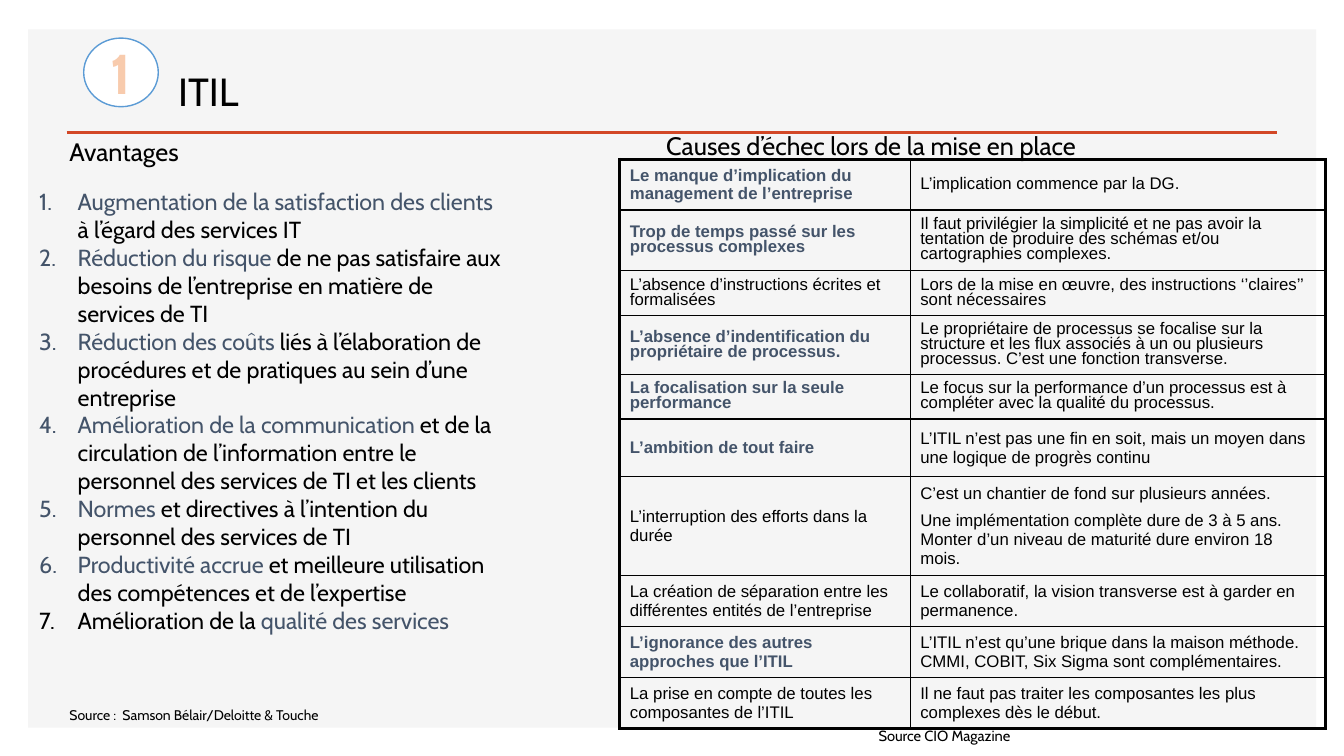
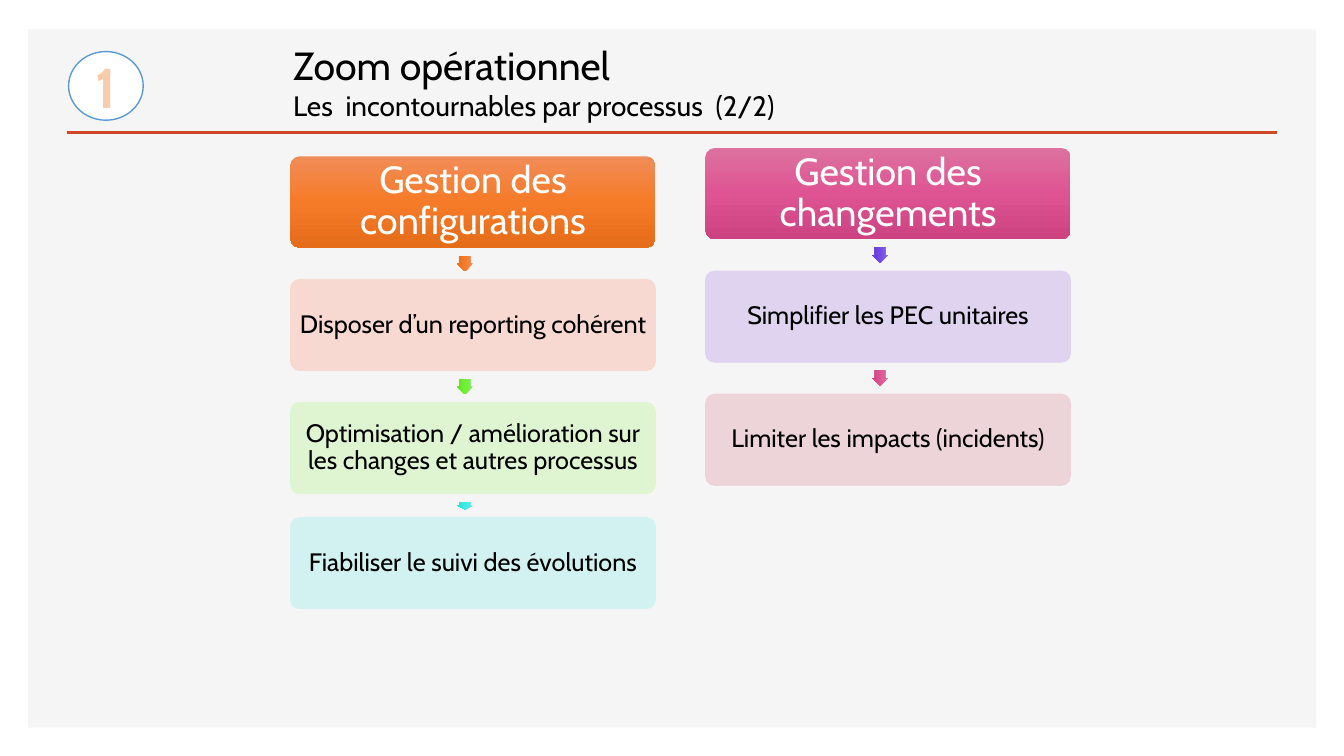
import copy
from dataclasses import dataclass

import pptx
import pptx.dml.color
import pptx.enum.shapes
import pptx.enum.text
import pptx.oxml
import pptx.oxml.ns
import pptx.util
from lxml import etree

Cm = pptx.util.Cm
Pt = pptx.util.Pt
ANCHOR = pptx.enum.text.MSO_ANCHOR
ALIGN = pptx.enum.text.PP_ALIGN
SHAPE = pptx.enum.shapes.MSO_SHAPE
qn = pptx.oxml.ns.qn


@dataclass(frozen=True)
class Theme:
    font: str = "Cabin"
    table_font: str = "Arial"
    black: str = "000000"
    white: str = "FFFFFF"
    band: str = "F5F5F5"
    rule: str = "D24726"
    slate: str = "44546A"
    badge_line: str = "5B9BD5"
    badge_text: str = "F8CBAD"
    badge_outline: str = "ED7D31"
    orange: tuple = ("F18C57", "F67B28", "E56C19")
    green: tuple = ("82EB5D", "6EF033", "5EDF24")
    cyan: tuple = ("63E7E3", "3EEAE5", "2ED9D4")
    violet: tuple = ("8669E2", "7249E4", "6139D3")
    pink: tuple = ("DD719F", "DE5492", "CD4381")
    pale_orange: str = "F8D7CE"
    pale_green: str = "DDF5CE"
    pale_cyan: str = "CFF2F2"
    pale_violet: str = "DDD0EF"
    pale_pink: str = "ECD1D6"
    badge_size: float = 40
    title_size: float = 28
    subtitle_size: float = 20
    header_size: float = 27
    text_size: float = 18
    list_size: float = 16.6
    table_size: float = 12
    source_size: float = 10


THEME = Theme()
KEY = {"color": THEME.slate}

ADVANTAGES = [
    [("Augmentation de la satisfaction des clients", KEY), (" à l’égard des services IT", {})],
    [("Réduction du risque", KEY),
     (" de ne pas satisfaire aux besoins de l’entreprise en matière de services de TI", {})],
    [("Réduction des coûts", KEY),
     (" liés à l’élaboration de procédures et de pratiques au sein d’une entreprise", {})],
    [("Amélioration de la communication", KEY),
     (" et de la circulation de l’information entre le personnel des services de TI et les clients", {})],
    [("Normes", KEY), (" et directives à l’intention du personnel des services de TI", {})],
    [("Productivité accrue", KEY), (" et meilleure utilisation des compétences et de l’expertise", {})],
    [("Amélioration de la ", {}), ("qualité des services", KEY)],
]

# Row height in cm, emphasised cause, cause, explanation paragraphs
FAILURE_CAUSES = [
    (1.28, True, "Le manque d’implication du management de l’entreprise",
     ["L’implication commence par la DG."]),
    (1.52, True, "Trop de temps passé sur les processus complexes",
     ["Il faut privilégier la simplicité et ne pas avoir la tentation de produire des schémas "
      "et/ou cartographies complexes."]),
    (1.15, False, "L’absence d’instructions écrites et formalisées",
     ["Lors de la mise en œuvre, des instructions ‘’claires’’ sont nécessaires"]),
    (1.48, True, "L’absence d’indentification du propriétaire de processus.",
     ["Le propriétaire de processus se focalise sur la structure et les flux associés à un ou "
      "plusieurs processus. C’est une fonction transverse."]),
    (1.12, True, "La focalisation sur la seule performance",
     ["Le focus sur la performance d’un processus est à compléter avec la qualité du processus."]),
    (1.45, True, "L’ambition de tout faire",
     ["L’ITIL n’est pas une fin en soit, mais un moyen dans une logique de progrès continu"]),
    (2.5, False, "L’interruption des efforts dans la durée",
     ["C’est un chantier de fond sur plusieurs années.",
      "Une implémentation complète dure de 3 à 5 ans. Monter d’un niveau de maturité dure "
      "environ 18 mois."]),
    (1.28, False, "La création de séparation entre les différentes entités de l’entreprise",
     ["Le collaboratif, la vision transverse est à garder en permanence."]),
    (1.28, True, "L’ignorance des autres approches que l’ITIL",
     ["L’ITIL n’est qu’une brique dans la maison méthode. CMMI, COBIT, Six Sigma sont "
      "complémentaires."]),
    (1.28, False, "La prise en compte de toutes les composantes de l’ITIL",
     ["Il ne faut pas traiter les composantes les plus complexes dès le début."]),
]


def rgb(value):
    return pptx.dml.color.RGBColor.from_string(value)


def write(frame, paragraphs, *, size=THEME.text_size, font=THEME.font, color=THEME.black,
          bold=False, align=ALIGN.LEFT, anchor=ANCHOR.TOP, spacing=1.0, gap=0,
          inset=None, numbered=False):
    """Fill a text frame; a paragraph is a string or a list of (text, format) runs."""
    frame.word_wrap = True
    frame.vertical_anchor = anchor
    if inset is not None:
        frame.margin_left = frame.margin_right = Cm(inset)
        frame.margin_top = frame.margin_bottom = Cm(inset)
    if isinstance(paragraphs, str):
        paragraphs = [paragraphs]
    for index, content in enumerate(paragraphs):
        paragraph = frame.add_paragraph() if index else frame.paragraphs[0]
        paragraph.alignment = align
        paragraph.line_spacing = spacing
        if index and gap:
            paragraph.space_before = Pt(gap)
        if numbered:
            properties = paragraph._p.get_or_add_pPr()
            properties.set("marL", str(Cm(0.97)))
            properties.set("indent", str(-Cm(0.97)))
            etree.SubElement(properties, qn("a:buAutoNum"), type="arabicPeriod")
        for text, style in [(content, {})] if isinstance(content, str) else content:
            if text == "\n":
                paragraph.add_line_break()
                continue
            run = paragraph.add_run()
            run.text = text
            run.font.name = font
            run.font.bold = bold
            run.font.size = Pt(style.get("size", size))
            run.font.color.rgb = rgb(style.get("color", color))


def add_text(slide, left, top, width, height, paragraphs, **text_format):
    box = slide.shapes.add_textbox(Cm(left), Cm(top), Cm(width), Cm(height))
    write(box.text_frame, paragraphs, **text_format)


def add_shape(slide, kind, left, top, width, height, fill, line=None, weight=1):
    """Add a preset shape; a tuple of colours makes a vertical gradient."""
    shape = slide.shapes.add_shape(kind, Cm(left), Cm(top), Cm(width), Cm(height))
    shape.shadow.inherit = False
    if isinstance(fill, tuple):
        shape.fill.gradient()
        shape.fill.gradient_angle = 270
        stops = shape.element.spPr.find(".//" + qn("a:gsLst"))
        stops.append(copy.deepcopy(stops[-1]))
        for index, stop in enumerate(shape.fill.gradient_stops):
            stop.position = index / 2
            stop.color.rgb = rgb(fill[index])
    else:
        shape.fill.solid()
        shape.fill.fore_color.rgb = rgb(fill)
    if line:
        shape.line.color.rgb = rgb(line)
        shape.line.width = Pt(weight)
    else:
        shape.line.fill.background()
    return shape


def line_xml(tag, color, weight):
    return pptx.oxml.parse_xml(
        f'<a:{tag} {pptx.oxml.ns.nsdecls("a")} w="{Pt(weight)}">'
        f'<a:solidFill><a:srgbClr val="{color}"/></a:solidFill></a:{tag}>')


def add_frame(presentation):
    """Add a slide with the shared grey band and title rule."""
    slide = presentation.slides.add_slide(presentation.slide_layouts[6])
    add_shape(slide, SHAPE.RECTANGLE, 0.71, 0.74, 32.46, 17.6, THEME.band)
    rule = slide.shapes.add_connector(
        pptx.enum.shapes.MSO_CONNECTOR.STRAIGHT, Cm(1.68), Cm(3.33), Cm(32.18), Cm(3.33))
    rule.line.color.rgb = rgb(THEME.rule)
    rule.line.width = Pt(2)
    etree.SubElement(rule.element.spPr, qn("a:effectLst"))
    return slide


def add_title(slide, left, top, width, height, runs):
    add_text(slide, left, top, width, height, [runs], size=THEME.title_size, anchor=ANCHOR.BOTTOM)


def add_badge(slide, left, top, number):
    badge = add_shape(slide, SHAPE.OVAL, left, top, 1.88, 1.73, THEME.white, THEME.badge_line)
    write(badge.text_frame, number, size=THEME.badge_size, color=THEME.badge_text, bold=True,
          align=ALIGN.CENTER, anchor=ANCHOR.MIDDLE, inset=0)
    run = badge.text_frame.paragraphs[0].runs[0]
    run.font._element.insert(0, line_xml("ln", THEME.badge_outline, 1.75))


def add_causes_table(slide, left, top, column_widths):
    heights = [row[0] for row in FAILURE_CAUSES]
    table = slide.shapes.add_table(
        len(heights), 2, Cm(left), Cm(top), Cm(sum(column_widths)), Cm(sum(heights))).table
    table.first_row = table.horz_banding = False
    for column, width in zip(table.columns, column_widths):
        column.width = Cm(width)
    last = len(heights) - 1
    for row, (height, emphasised, cause, explanation) in enumerate(FAILURE_CAUSES):
        table.rows[row].height = Cm(height)
        for column, paragraphs in enumerate((cause, explanation)):
            cell = table.cell(row, column)
            strong = emphasised and column == 0
            tight = row <= 4 and (row, column) != (0, 0)
            write(cell.text_frame, paragraphs, size=THEME.table_size, font=THEME.table_font,
                  color=THEME.slate if strong else THEME.black, bold=strong,
                  spacing=0.8 if tight else 1.0, gap=6)
            cell.vertical_anchor = ANCHOR.MIDDLE
            # Thick borders on the outside, thin ones inside
            outer = {"lnL": column == 0, "lnR": column == 1, "lnT": row == 0, "lnB": row == last}
            properties = cell._tc.get_or_add_tcPr()
            for tag, thick in outer.items():
                properties.append(line_xml(tag, THEME.black, 2.25 if thick else 1))
            cell.fill.background()


def add_process_column(slide, left, top, header, header_fill, steps):
    """Stack a header and its steps; a step is (text, fill, arrow fill, gap above)."""
    width, height, margin = 9.2, 2.3, 0.2
    box = add_shape(slide, SHAPE.ROUNDED_RECTANGLE, left, top, width, height, header_fill)
    box.adjustments[0] = 0.1
    centred = {"align": ALIGN.CENTER, "anchor": ANCHOR.MIDDLE, "spacing": 0.9, "inset": 0.08}
    write(box.text_frame, header, size=THEME.header_size, color=THEME.white, **centred)
    for text, fill, arrow_fill, gap in steps:
        # Arrow in the middle of the gap, turned to point down
        length, thickness = gap - 2 * margin, 0.4
        middle_x, middle_y = left + width / 2 - margin, top + height + gap / 2
        arrow = add_shape(slide, SHAPE.RIGHT_ARROW, middle_x - length / 2,
                          middle_y - thickness / 2, length, thickness, arrow_fill)
        arrow.rotation = 90
        arrow.adjustments[0], arrow.adjustments[1] = 0.67, 0.5
        # Step box
        top += height + gap
        box = add_shape(slide, SHAPE.ROUNDED_RECTANGLE, left, top, width, height, fill, fill, 0.5)
        box.adjustments[0] = 0.1
        for color in box.element.spPr.iter(qn("a:srgbClr")):
            etree.SubElement(color, qn("a:alpha"), val="90000")
        write(box.text_frame, text, **centred)


def build_itil_slide(presentation):
    slide = add_frame(presentation)
    add_title(slide, 4.24, 1.24, 16.3, 1.78, [("ITIL", {})])
    add_badge(slide, 2.11, 0.96, "1")
    # Advantages
    add_text(slide, 1.5, 3.3, 13.77, 1.02, "Avantages")
    add_text(slide, 0.74, 4.6, 12.27, 13.4, ADVANTAGES, size=THEME.list_size, numbered=True)
    add_text(slide, 1.5, 17.68, 7.62, 0.69, "Source :  Samson Bélair/Deloitte & Touche".split("\n"),
             size=THEME.source_size)
    # Causes of failure
    add_causes_table(slide, 15.62, 4.01, (7.32, 10.46))
    add_text(slide, 16.54, 3.15, 13.77, 1.02, "Causes d’échec lors de la mise en place")
    add_text(slide, 21.89, 18.19, 4.06, 0.71, "Source CIO Magazine", size=THEME.source_size + 0.5)


def build_process_slide(presentation):
    slide = add_frame(presentation)
    add_title(slide, 7.14, 0.71, 18.64, 2.49, [
        ("Zoom opérationnel", {}), ("\n", {}),
        ("Les  incontournables par processus  (2/2)", {"size": THEME.subtitle_size})])
    add_badge(slide, 1.73, 1.3, "1")
    add_process_column(slide, 7.32, 3.94, "Gestion des configurations", THEME.orange, [
        ("Disposer d’un reporting cohérent", THEME.pale_orange, THEME.orange, 0.8),
        ("Optimisation / amélioration sur les changes et autres processus",
         THEME.pale_green, THEME.green, 0.8),
        ("Fiabiliser le suivi des évolutions", THEME.pale_cyan, THEME.cyan, 0.6)])
    add_process_column(slide, 17.78, 3.73, "Gestion des changements", THEME.pink, [
        ("Simplifier les PEC unitaires", THEME.pale_violet, THEME.violet, 0.8),
        ("Limiter les impacts (incidents)", THEME.pale_pink, THEME.pink, 0.8)])


def main():
    presentation = pptx.Presentation()
    presentation.slide_width = Cm(33.87)
    presentation.slide_height = Cm(19.05)
    build_itil_slide(presentation)
    build_process_slide(presentation)
    presentation.save("out.pptx")


if __name__ == "__main__":
    main()
